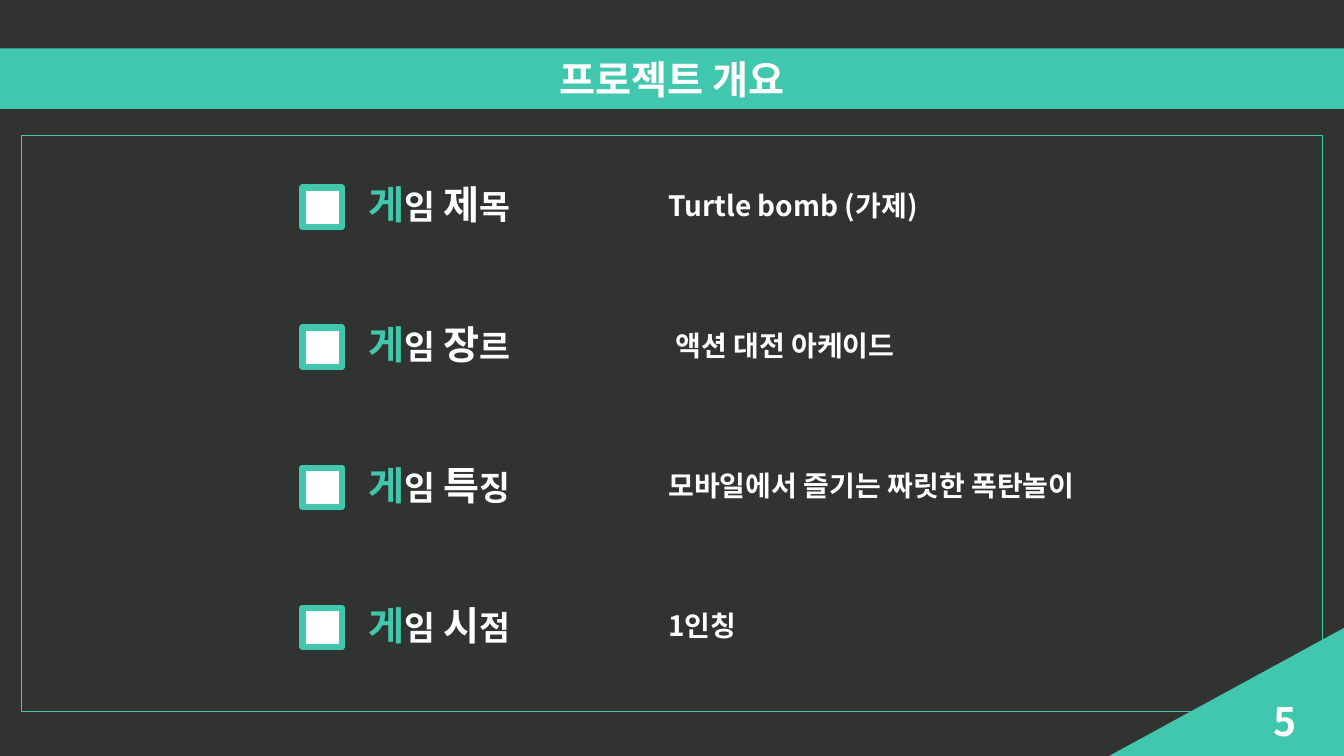
from pptx import Presentation
from pptx.dml.color import RGBColor
from pptx.enum import shapes, text
from pptx.oxml import ns
from pptx.util import Inches, Pt
from lxml import etree

TEAL = RGBColor(0x41, 0xC7, 0xAD)
WHITE = RGBColor(0xFF, 0xFF, 0xFF)
DARK = RGBColor(0x31, 0x33, 0x31)
FONT = "Noto Sans CJK KR"


def style_run(run, size, color):
    run.font.size = Pt(size)
    run.font.bold = True
    run.font.color.rgb = color
    run.font.name = FONT
    east_asian = etree.SubElement(run.font._element, ns.qn("a:ea"))
    east_asian.set("typeface", FONT)


def add_line_of_text(left, top, width, height, pieces):
    frame = slide.shapes.add_textbox(
        Inches(left), Inches(top), Inches(width), Inches(height)).text_frame
    frame.word_wrap = True
    frame.vertical_anchor = text.MSO_ANCHOR.MIDDLE
    paragraph = frame.paragraphs[0]
    for words, size, color in pieces:
        run = paragraph.add_run()
        run.text = words
        style_run(run, size, color)
    return paragraph


prs = Presentation()
prs.slide_width = Inches(13.33)
prs.slide_height = Inches(7.5)
slide = prs.slides.add_slide(prs.slide_layouts[5])
slide.background.fill.solid()
slide.background.fill.fore_color.rgb = DARK

heading = slide.shapes.title
heading.left, heading.top = Inches(0), Inches(0.48)
heading.width, heading.height = Inches(13.33), Inches(0.6)
heading.fill.solid()
heading.fill.fore_color.rgb = TEAL
heading.text_frame.text = "프로젝트 개요"
heading.text_frame.auto_size = text.MSO_AUTO_SIZE.NONE
heading.text_frame.vertical_anchor = text.MSO_ANCHOR.MIDDLE
heading.text_frame.paragraphs[0].alignment = text.PP_ALIGN.CENTER
style_run(heading.text_frame.paragraphs[0].runs[0], 28, WHITE)

border = slide.shapes.add_shape(
    shapes.MSO_SHAPE.RECTANGLE,
    Inches(0.21), Inches(1.34), Inches(12.91), Inches(5.72))
border.shadow.inherit = False
border.fill.background()
border.line.color.rgb = TEAL
border.line.width = Pt(0.75)

overview = [
    ("제", "목", "Turtle bomb (가제)", 6.53, 3.47),
    ("장", "르", "액션 대전 아케이드", 6.6, 3.47),
    ("특", "징", "모바일에서 즐기는 짜릿한 폭탄놀이", 6.53, 6.01),
    ("시", "점", "1인칭", 6.53, 3.47),
]
for row, (initial, ending, detail, detail_left, detail_width) in enumerate(overview):
    row_top = 1.7 + 1.39 * row
    marker = slide.shapes.add_shape(
        shapes.MSO_SHAPE.RECTANGLE,
        Inches(3), Inches(row_top + 0.16), Inches(0.39), Inches(0.39))
    marker.shadow.inherit = False
    marker.fill.solid()
    marker.fill.fore_color.rgb = WHITE
    marker.line.color.rgb = TEAL
    marker.line.width = Pt(4.5)

    label = add_line_of_text(3.56, row_top, 1.86, 0.71, [
        ("게", 28, TEAL), ("임 ", 24, WHITE),
        (initial, 28, WHITE), (ending, 24, WHITE)])
    description = add_line_of_text(
        detail_left, row_top, detail_width, 0.71, [(detail, 20, WHITE)])
    for paragraph in (label, description):
        paragraph.line_spacing = 0.9
        paragraph.space_after = Pt(6)

corner = slide.shapes.add_shape(
    shapes.MSO_SHAPE.RIGHT_TRIANGLE,
    Inches(11), Inches(6.23), Inches(2.33), Inches(1.27))
corner._element.spPr.xfrm.set("flipH", "1")
corner.shadow.inherit = False
corner.fill.solid()
corner.fill.fore_color.rgb = TEAL
corner.line.fill.background()

page_number = add_line_of_text(9.96, 6.95, 3, 0.4, [("5", 28, WHITE)])
page_number.alignment = text.PP_ALIGN.RIGHT

prs.save("out.pptx")
